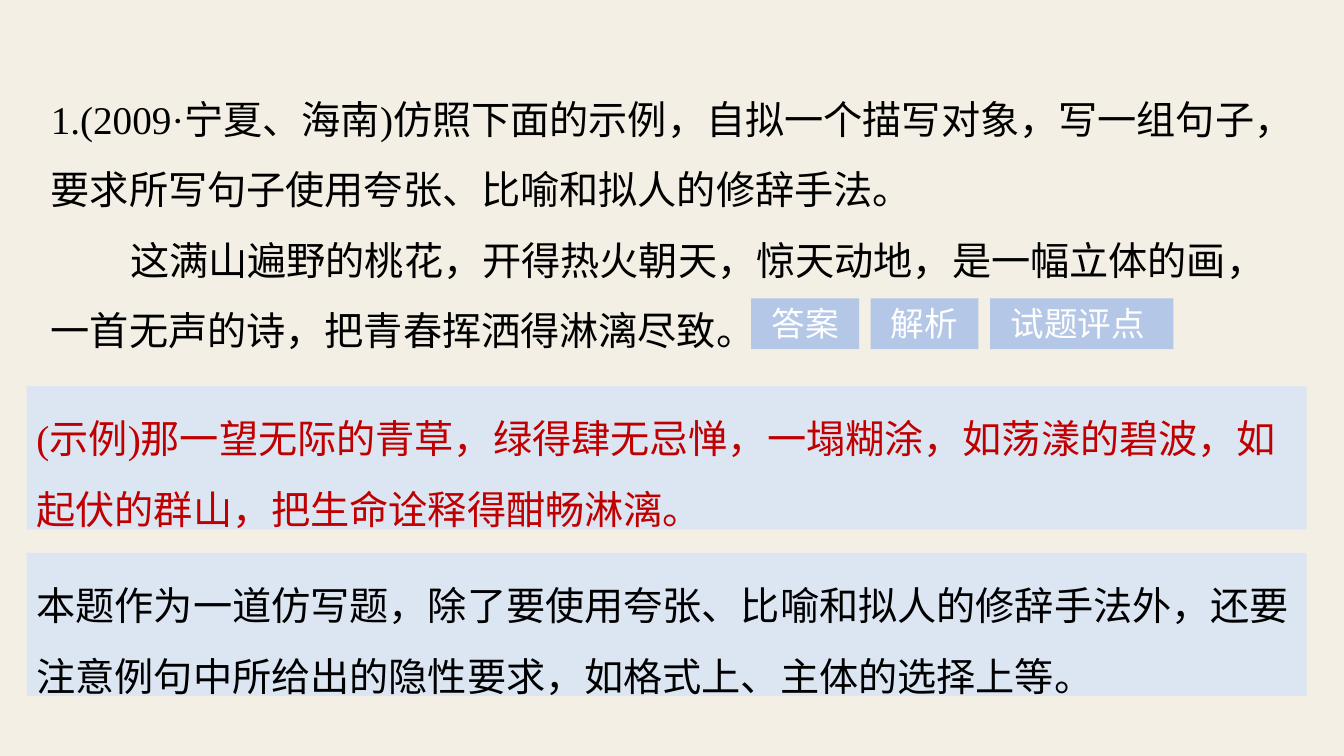
from dataclasses import dataclass

from pptx import Presentation
from pptx.dml.color import RGBColor as RGB
from pptx.enum.shapes import MSO_SHAPE as Preset
from pptx.enum.text import MSO_ANCHOR as Anchor, MSO_AUTO_SIZE as AutoSize, PP_ALIGN as Align
from pptx.util import Cm, Pt


@dataclass(frozen=True)
class Theme:
    background: RGB = RGB(0xF3, 0xEF, 0xE5)
    button: RGB = RGB(0xB4, 0xC7, 0xE7)
    panel: RGB = RGB(0xDC, 0xE6, 0xF2)
    ink: RGB = RGB(0, 0, 0)
    answer: RGB = RGB(0xC0, 0, 0)
    white: RGB = RGB(0xFF, 0xFF, 0xFF)
    body_font: str = "Times New Roman"
    button_font: str = "Arial"
    body_size: Pt = Pt(28)
    button_size: Pt = Pt(24)
    line_spacing: float = 1.5


THEME = Theme()

QUESTION = "1.(2009·宁夏、海南)仿照下面的示例，自拟一个描写对象，写一组句子，要求所写句子使用夸张、比喻和拟人的修辞手法。"
EXAMPLE = "这满山遍野的桃花，开得热火朝天，惊天动地，是一幅立体的画，一首无声的诗，把青春挥洒得淋漓尽致。"
ANSWER = "(示例)那一望无际的青草，绿得肆无忌惮，一塌糊涂，如荡漾的碧波，如起伏的群山，把生命诠释得酣畅淋漓。"
ANALYSIS = "本题作为一道仿写题，除了要使用夸张、比喻和拟人的修辞手法外，还要注意例句中所给出的隐性要求，如格式上、主体的选择上等。"


def set_frame(frame):
    frame.word_wrap = True
    frame.auto_size = AutoSize.SHAPE_TO_FIT_TEXT
    frame.vertical_anchor = Anchor.TOP


def style_font(font, name, size, color):
    font.name = name
    font.size = size
    font.color.rgb = color


def style_body(paragraph, color):
    paragraph.alignment = Align.LEFT
    paragraph.line_spacing = THEME.line_spacing
    style_font(paragraph.font, THEME.body_font, THEME.body_size, color)


def add_filled_box(slide, left, top, width, height, fill, text):
    """Add a plain rectangle and return its paragraph."""
    shape = slide.shapes.add_shape(Preset.RECTANGLE, Cm(left), Cm(top), Cm(width), Cm(height))
    shape.shadow.inherit = False
    shape.fill.solid()
    shape.fill.fore_color.rgb = fill
    shape.line.fill.background()
    set_frame(shape.text_frame)
    paragraph = shape.text_frame.paragraphs[0]
    paragraph.text = text
    return paragraph


def add_question(slide, left, top, width, height):
    frame = slide.shapes.add_textbox(Cm(left), Cm(top), Cm(width), Cm(height)).text_frame
    set_frame(frame)
    frame.margin_left = frame.margin_right = Cm(0.34)
    frame.margin_top = frame.margin_bottom = Cm(0.17)
    question, example = frame.paragraphs[0], frame.add_paragraph()
    question.text, example.text = QUESTION, EXAMPLE
    # First-line indent of two characters
    example._p.get_or_add_pPr().set("marL", "0")
    example._p.get_or_add_pPr().set("indent", str(Cm(2)))
    for paragraph in (question, example):
        style_body(paragraph, THEME.ink)


def add_buttons(slide, left, top, height, gap, buttons):
    for label, width in buttons:
        paragraph = add_filled_box(slide, left, top, width, height, THEME.button, label)
        paragraph.alignment = Align.CENTER
        style_font(paragraph.font, THEME.button_font, THEME.button_size, THEME.white)
        left += width + gap


def add_panels(slide, left, top, width, height, gap, panels):
    for text, color in panels:
        paragraph = add_filled_box(slide, left, top, width, height, THEME.panel, text)
        style_body(paragraph, color)
        top += height + gap


def main():
    presentation = Presentation()
    presentation.slide_width, presentation.slide_height = Cm(33.87), Cm(19.05)
    slide = presentation.slides.add_slide(presentation.slide_layouts[6])
    slide.background.fill.solid()
    slide.background.fill.fore_color.rgb = THEME.background

    # Question with its model sentence
    add_question(slide, 0.94, 1.63, 31.88, 7.52)
    # Button row
    add_buttons(slide, 18.93, 7.52, 1.28, 0.29,
                [("答案", 2.72), ("解析", 2.72), ("试题评点 ", 4.62)])
    # Answer and analysis
    add_panels(slide, 0.67, 9.73, 32.26, 3.61, 0.59,
               [(ANSWER, THEME.answer), (ANALYSIS, THEME.ink)])

    presentation.save("out.pptx")


if __name__ == "__main__":
    main()
